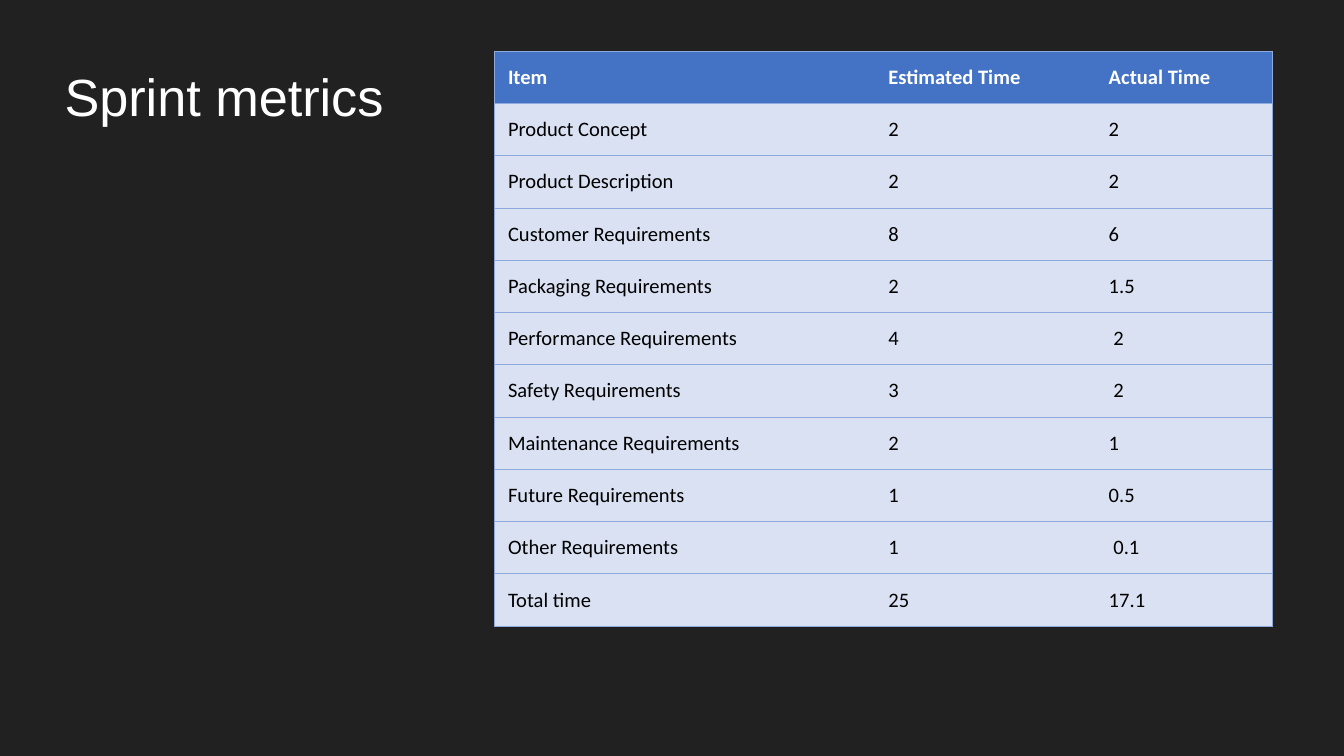
from lxml.etree import SubElement
from pptx import Presentation
from pptx.dml.color import RGBColor
from pptx.enum.text import MSO_ANCHOR, MSO_AUTO_SIZE, PP_ALIGN
from pptx.oxml.ns import qn
from pptx.util import Inches, Pt

BACKGROUND = RGBColor(0x21, 0x21, 0x21)
WHITE = RGBColor(0xFF, 0xFF, 0xFF)
BLACK = RGBColor(0, 0, 0)
HEADER_BLUE = RGBColor(0x44, 0x72, 0xC4)
ROW_BLUE = RGBColor(0xD9, 0xE1, 0xF2)
RULE_BLUE = RGBColor(0x8E, 0xA9, 0xDB)

COLUMN_WIDTHS = (2.83, 1.64, 1.32)
ROW_HEIGHT = 0.38
METRICS = (
    ("Item", "Estimated Time", "Actual Time"),
    ("Product Concept", "2", "2"),
    ("Product Description", "2", "2"),
    ("Customer Requirements", "8", "6"),
    ("Packaging Requirements", "2", "1.5"),
    ("Performance Requirements", "4", " 2"),
    ("Safety Requirements", "3", " 2"),
    ("Maintenance Requirements", "2", "1"),
    ("Future Requirements", "1", "0.5"),
    ("Other Requirements", "1", " 0.1"),
    ("Total time", "25", "17.1"),
)


def style_font(font, name, size, color, bold=False):
    font.name = name
    font.size = Pt(size)
    font.color.rgb = color
    font.bold = bold


def add_title(slide, text):
    title = slide.shapes.title
    title.left, title.top = Inches(0.38), Inches(0.38)
    title.width, title.height = Inches(2.6), Inches(0.63)
    frame = title.text_frame
    frame.text = text
    frame.word_wrap = True
    frame.auto_size = MSO_AUTO_SIZE.NONE
    frame.vertical_anchor = MSO_ANCHOR.TOP
    frame.margin_left = frame.margin_right = Inches(0.1)
    frame.margin_top = frame.margin_bottom = Inches(0.1)
    heading = frame.paragraphs[0]
    heading.alignment = PP_ALIGN.LEFT
    heading.line_spacing = 1.0
    heading.space_before = Pt(0)
    style_font(heading.font, "Arial", 28, WHITE)


def set_borders(cell, visible_sides):
    properties = cell._tc.get_or_add_tcPr()
    for side in "LRTB":
        border = SubElement(properties, qn(f"a:ln{side}"), w=str(Pt(0.49)))
        if side in visible_sides:
            fill = SubElement(border, qn("a:solidFill"))
            SubElement(fill, qn("a:srgbClr"), val=str(RULE_BLUE))
        else:
            SubElement(border, qn("a:noFill"))


def fill_cell(cell, text, is_header, visible_sides):
    cell.text = text
    cell.margin_left = cell.margin_right = Inches(0.1)
    cell.margin_top = cell.margin_bottom = Inches(0.1)
    set_borders(cell, visible_sides)
    cell.fill.solid()
    cell.fill.fore_color.rgb = HEADER_BLUE if is_header else ROW_BLUE
    style_font(cell.text_frame.paragraphs[0].font, "Calibri", 11,
               WHITE if is_header else BLACK, is_header)


def add_metrics_table(slide):
    last_column = len(COLUMN_WIDTHS) - 1
    metrics = slide.shapes.add_table(
        len(METRICS), len(COLUMN_WIDTHS), Inches(3.68), Inches(0.38),
        Inches(sum(COLUMN_WIDTHS)), Inches(ROW_HEIGHT * len(METRICS))).table
    metrics.horz_banding = False
    for column, width in zip(metrics.columns, COLUMN_WIDTHS):
        column.width = Inches(width)
    for row_index, values in enumerate(METRICS):
        metrics.rows[row_index].height = Inches(ROW_HEIGHT)
        for column_index, text in enumerate(values):
            sides = "TB" + {0: "L", last_column: "R"}.get(column_index, "")
            fill_cell(metrics.cell(row_index, column_index), text,
                      row_index == 0, sides)


def main():
    deck = Presentation()
    deck.slide_width = Inches(10)
    deck.slide_height = deck.slide_width * 9 // 16
    slide = deck.slides.add_slide(deck.slide_layouts[5])
    slide.background.fill.solid()
    slide.background.fill.fore_color.rgb = BACKGROUND
    add_title(slide, "Sprint metrics")
    add_metrics_table(slide)
    deck.save("out.pptx")


main()
